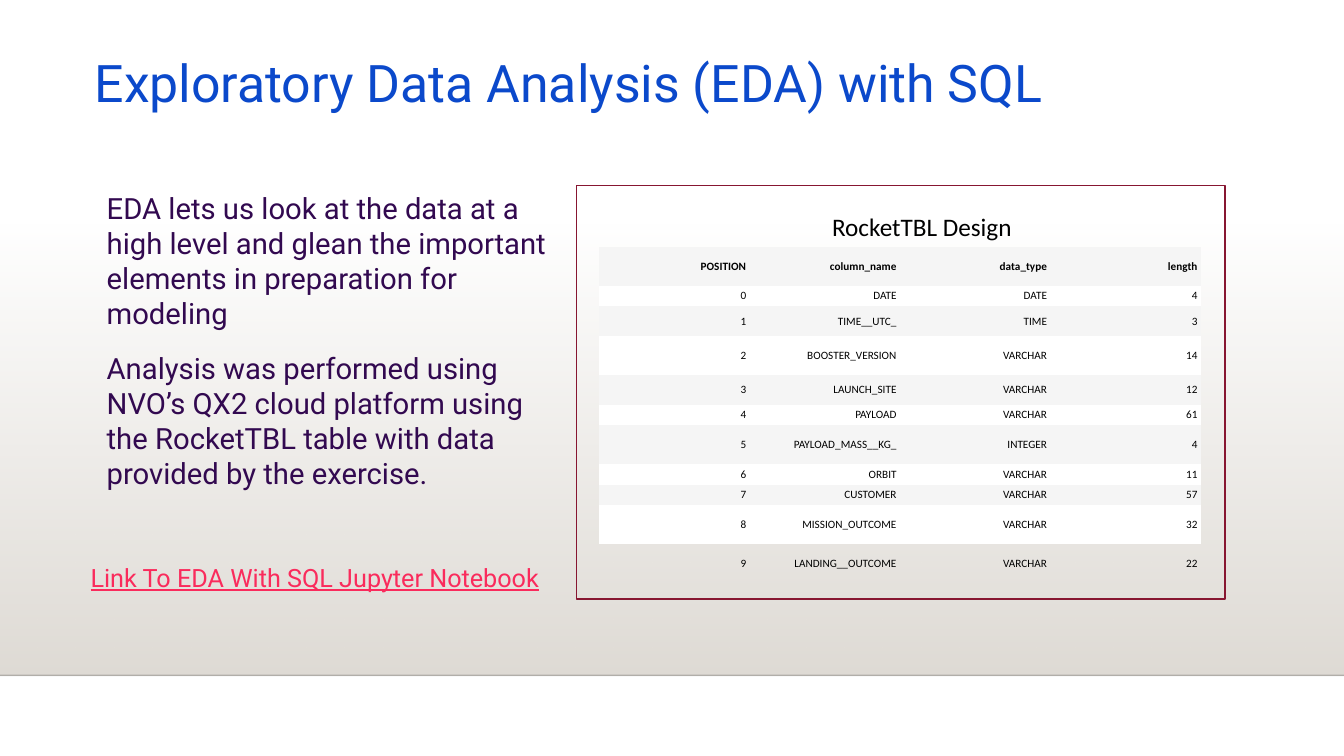
"""Build the slide on exploratory data analysis with SQL."""
from dataclasses import dataclass

from lxml import etree
from pptx import Presentation
from pptx.dml.color import RGBColor
from pptx.enum.shapes import MSO_CONNECTOR, MSO_SHAPE
from pptx.enum.text import MSO_ANCHOR, PP_ALIGN
from pptx.oxml.ns import qn
from pptx.util import Emu, Inches, Pt

RECT, STRAIGHT = MSO_SHAPE.RECTANGLE, MSO_CONNECTOR.STRAIGHT
TOP, MIDDLE = MSO_ANCHOR.TOP, MSO_ANCHOR.MIDDLE
LEFT, CENTER, RIGHT = PP_ALIGN.LEFT, PP_ALIGN.CENTER, PP_ALIGN.RIGHT
W, H = Inches(13.33), Inches(7.5)
NO_GRID = "{2D5ABB26-0587-4C30-8999-92F81FD0307C}"
SAND, BAND, WHITE = "DFDBD5", "F5F5F5", "FFFFFF"
FLOOR = 89.33
TALL, MID, LOW = 5.13, 3.93, 2.73


@dataclass(frozen=True)
class Box:
    """A rectangle in percent of the slide's width and height."""
    x: float
    y: float
    w: float
    h: float

    def emu(self) -> tuple[Emu, Emu, Emu, Emu]:
        """Return left, top, width and height as lengths."""
        return across(self.x), down(self.y), across(self.w), down(self.h)


@dataclass(frozen=True)
class Label:
    """A text box with its paragraphs and format."""
    box: Box
    paragraphs: tuple[str, ...]
    size: float
    color: str
    font: str = "Roboto"
    align: PP_ALIGN = LEFT
    anchor: MSO_ANCHOR = TOP
    spacing: float = 1.0
    underline: bool = False
    wrap: bool = True


@dataclass(frozen=True)
class Row:
    """A table row with its height in percent of the slide."""
    height: float
    cells: tuple[str, str, str, str]


LABELS = (
    Label(Box(7.2, 24.53, 35.03, 47.6), (
        "EDA lets us look at the data at a high level and glean the important "
        "elements in preparation for modeling",
        "Analysis was performed using NVO’s QX2 cloud platform using the "
        "RocketTBL table with data provided by the exercise."), 20.9, "320950"),
    Label(Box(6.3, 7.87, 86.25, 8), ("Exploratory Data Analysis (EDA) with SQL",),
          37, "0B49CB", anchor=MIDDLE, spacing=0.7),
    Label(Box(60.53, 27.33, 16.13, 5.33), ("RocketTBL Design",),
          18, "000000", font="Calibri", align=CENTER, wrap=False),
    Label(Box(6, 73.73, 36.23, 5.33), ("Link To EDA With SQL Jupyter Notebook",),
          18, "FA2B5C", underline=True),
)
ROWS = (
    Row(TALL, ("POSITION", "column_name", "data_type", "length")),
    Row(LOW, ("0", "DATE", "DATE", "4")),
    Row(MID, ("1", "TIME__UTC_", "TIME", "3")),
    Row(TALL, ("2", "BOOSTER_VERSION", "VARCHAR", "14")),
    Row(MID, ("3", "LAUNCH_SITE", "VARCHAR", "12")),
    Row(LOW, ("4", "PAYLOAD", "VARCHAR", "61")),
    Row(TALL, ("5", "PAYLOAD_MASS__KG_", "INTEGER", "4")),
    Row(LOW, ("6", "ORBIT", "VARCHAR", "11")),
    Row(LOW, ("7", "CUSTOMER", "VARCHAR", "57")),
    Row(TALL, ("8", "MISSION_OUTCOME", "VARCHAR", "32")),
    Row(TALL, ("9", "LANDING__OUTCOME", "VARCHAR", "22")),
)
TABLE = Box(44.55, 32.67, 44.78, sum(row.height for row in ROWS))
FRAME = Box(42.9, 24.53, 48.23, 54.67)
GLOW = Box(0, 29.47, 100, FLOOR - 29.47)


def across(share: float) -> Emu:
    """Turn a percentage of the slide's width into a length."""
    return Emu(round(W * share / 100))


def down(share: float) -> Emu:
    """Turn a percentage of the slide's height into a length."""
    return Emu(round(H * share / 100))


def rgb(color: str) -> RGBColor:
    """Turn a hex string into a colour."""
    return RGBColor.from_string(color)


def set_alpha(clr, percent: int) -> None:
    """Give a colour element an opacity."""
    etree.SubElement(clr, qn("a:alpha")).set("val", str(percent * 1000))


def write(p, text: str, *, size: float, color: str, font: str, align=LEFT,
          spacing: float = 1.0, before: float = 0, bold: bool = False,
          underline: bool = False) -> None:
    """Write one formatted run into a paragraph."""
    p.alignment, p.line_spacing, p.space_before = align, spacing, Pt(before)
    r = p.add_run()
    r.text = text
    r.font.size, r.font.name = Pt(size), font
    r.font.bold, r.font.underline = bold, underline
    r.font.color.rgb = rgb(color)


def draw_label(s, label: Label) -> None:
    """Draw a text box."""
    tf = s.shapes.add_textbox(*label.box.emu()).text_frame
    tf.word_wrap, tf.vertical_anchor = label.wrap, label.anchor
    for i, text in enumerate(label.paragraphs):
        p = tf.add_paragraph() if i else tf.paragraphs[0]
        write(p, text, size=label.size, color=label.color, font=label.font,
              align=label.align, spacing=label.spacing,
              before=14 if i else 0, underline=label.underline)


def draw_backdrop(s) -> None:
    """Draw the fading floor and the line beneath it."""
    sp = s.shapes.add_shape(RECT, *GLOW.emu())
    sp.shadow.inherit = False
    sp.line.fill.background()
    sp.fill.gradient()
    sp.fill.gradient_angle = 270
    for stop in sp.fill.gradient_stops:
        stop.color.rgb = rgb(SAND)
    set_alpha(next(sp.element.iter(qn("a:srgbClr"))), 0)

    line = s.shapes.add_connector(STRAIGHT, 0, down(FLOOR), W, down(FLOOR))
    line.line.width = Pt(1)
    line.line.color.rgb = rgb("000001")
    set_alpha(next(line.element.iter(qn("a:srgbClr"))), 20)
    etree.SubElement(line.element.spPr, qn("a:effectLst"))


def draw_table(s) -> None:
    """Draw the table of columns, banded except for its last row."""
    frame = s.shapes.add_table(len(ROWS), len(ROWS[0].cells), *TABLE.emu())
    next(frame.element.iter(qn("a:tableStyleId"))).text = NO_GRID
    table = frame.table
    table.horz_banding = table.first_row = False
    for i, row in enumerate(ROWS):
        table.rows[i].height = down(row.height)
        for cell, text in zip(table.rows[i].cells, row.cells):
            cell.vertical_anchor = MIDDLE
            cell.margin_left = cell.margin_right = Inches(0.03)
            cell.margin_top = cell.margin_bottom = Inches(0.02)
            if i == len(ROWS) - 1:
                cell.fill.background()
            else:
                cell.fill.solid()
                cell.fill.fore_color.rgb = rgb(WHITE if i % 2 else BAND)
            write(cell.text_frame.paragraphs[0], text, size=8, color="000000",
                  font="Calibri", align=RIGHT, bold=i == 0)


def draw_frame(s) -> None:
    """Draw the outline around the table."""
    sp = s.shapes.add_shape(RECT, *FRAME.emu())
    sp.shadow.inherit = False
    sp.fill.background()
    sp.line.color.rgb, sp.line.width = rgb("871631"), Pt(1.25)


def main() -> None:
    """Build and save the presentation."""
    prs = Presentation()
    prs.slide_width, prs.slide_height = W, H
    s = prs.slides.add_slide(prs.slide_layouts[6])
    draw_backdrop(s)
    draw_table(s)
    draw_frame(s)
    for label in LABELS:
        draw_label(s, label)
    prs.save("out.pptx")


if __name__ == "__main__":
    main()
